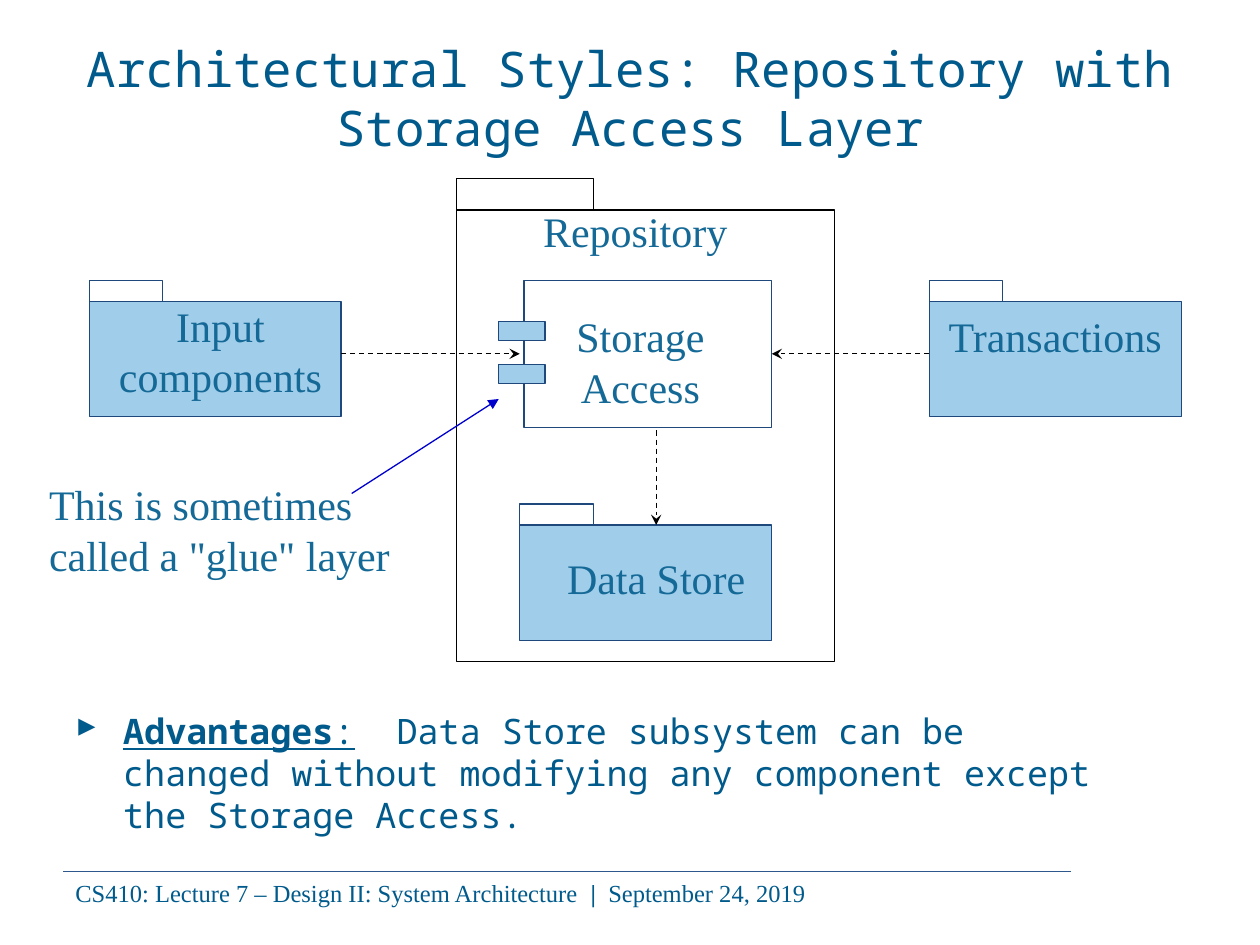
from dataclasses import dataclass

from lxml import etree
from pptx import Presentation
from pptx.dml.color import RGBColor
from pptx.enum.dml import MSO_LINE
from pptx.enum.shapes import MSO_CONNECTOR, MSO_SHAPE
from pptx.enum.text import MSO_ANCHOR, MSO_AUTO_SIZE, PP_ALIGN
from pptx.oxml.ns import qn
from pptx.util import Inches, Pt

STRAIGHT, RECTANGLE = MSO_CONNECTOR.STRAIGHT, MSO_SHAPE.RECTANGLE
LEFT, CENTER = PP_ALIGN.LEFT, PP_ALIGN.CENTER
DASH, MIDDLE, NO_FIT = MSO_LINE.DASH, MSO_ANCHOR.MIDDLE, MSO_AUTO_SIZE.NONE
RIGHT_SIDE = 3

SERIF, MONO = "Times New Roman", "Noto Sans Mono"
COLORS = {
    "heading": "005A8B",
    "label": "156997",
    "package": "A0CEEA",
    "outline": "1F497D",
    "rule": "2D588D",
    "black": "000000",
    "pointer": "0000CC",
}
COLUMNS, ROWS = 120, 90  # grid over the whole slide, 12 cells to the inch


@dataclass(frozen=True)
class Box:
    col: float
    row: float
    cols: float
    rows: float

    def place(self) -> tuple:
        return tuple(cells(n) for n in (self.col, self.row, self.cols, self.rows))


@dataclass(frozen=True)
class Label:
    text: str
    box: Box
    align: PP_ALIGN = CENTER


@dataclass(frozen=True)
class Arrow:
    start: tuple
    end: tuple
    color: str = "black"
    head: str = "stealth"
    dash: MSO_LINE | None = DASH


def cells(count: float) -> int:
    return Inches(count / 12)


def rgb(name: str) -> RGBColor:
    return RGBColor.from_string(COLORS[name])


def style(font, face: str, size: float, color: str) -> None:
    font.name, font.size = face, Pt(size)
    font.color.rgb = rgb(color)


def draw_box(slide, box: Box, fill: str | None = None, line: str = "outline"):
    rect = slide.shapes.add_shape(RECTANGLE, *box.place())
    rect.shadow.inherit = False
    if fill:
        rect.fill.solid()
        rect.fill.fore_color.rgb = rgb(fill)
    else:
        rect.fill.background()
    rect.line.color.rgb = rgb(line)
    rect.line.width = Pt(0.75)
    return rect


def draw_package(slide, col: float, row: float) -> None:
    draw_box(slide, Box(col, row, 7, 3))
    draw_box(slide, Box(col, row + 2, 24, 11), "package")


def add_paragraph_box(slide, box: Box):
    frame = slide.shapes.add_textbox(*box.place()).text_frame
    frame.word_wrap = True
    return frame.paragraphs[0]


def draw_label(slide, label: Label) -> None:
    paragraph = add_paragraph_box(slide, label.box)
    paragraph.text = label.text
    paragraph.alignment = label.align
    style(paragraph.font, SERIF, 24, "label")


def draw_line(slide, start: tuple, end: tuple, color: str, width: float):
    line = slide.shapes.add_connector(STRAIGHT, *map(cells, start + end))
    line.line.color.rgb = rgb(color)
    line.line.width = Pt(width)
    etree.SubElement(line._element.spPr, qn("a:effectLst"))
    return line


def draw_arrow(slide, arrow: Arrow):
    line = draw_line(slide, arrow.start, arrow.end, arrow.color, 0.75)
    if arrow.dash:
        line.line.dash_style = arrow.dash
    etree.SubElement(line.line._get_or_add_ln(), qn("a:tailEnd"), type=arrow.head)
    return line


def add_bullet(paragraph, glyph: str, indent: float) -> None:
    props = paragraph._p.get_or_add_pPr()
    props.set("marL", str(Inches(indent)))
    props.set("indent", str(-Inches(indent)))
    color = etree.SubElement(props, qn("a:buClr"))
    etree.SubElement(color, qn("a:srgbClr"), val=COLORS["heading"])
    etree.SubElement(props, qn("a:buChar"), char=glyph)


def add_run(paragraph, text: str, bold: bool = False, underline: bool = False) -> None:
    run = paragraph.add_run()
    run.text = text
    run.font.bold, run.font.underline = bold, underline


LABELS = [
    Label("Data Store", Box(47.5, 52, 30, 6)),
    Label("Input components", Box(6.5, 28, 29, 10.8)),
    Label("Transactions", Box(84.5, 29, 32, 6)),
    Label("Storage Access", Box(48.5, 29, 25, 10.8)),
    Label("Repository", Box(46.5, 19, 28, 6)),
    Label('This is sometimes called a "glue" layer', Box(3.5, 45, 36, 10.8), LEFT),
]
FLOW_ROW = 33.7
ARROWS = [
    Arrow((32.5, FLOW_ROW), (49.5, FLOW_ROW)),
    Arrow((62.5, 41), (62.5, 50)),
    Arrow((33.5, 47), (47.5, 38), "pointer", "triangle", None),
]


def main() -> None:
    prs = Presentation()
    prs.slide_width, prs.slide_height = cells(COLUMNS), cells(ROWS)
    slide = prs.slides.add_slide(prs.slide_layouts[5])

    # Title
    title = slide.shapes.title
    title.left, title.top, title.width, title.height = Box(6, 3.6, 108, 11.4).place()
    title.text_frame.auto_size = NO_FIT
    title.text_frame.vertical_anchor = MIDDLE
    heading = title.text_frame.paragraphs[0]
    heading.text = "Architectural Styles: Repository with Storage Access Layer"
    heading.alignment = CENTER
    style(heading.font, MONO, 28, "heading")

    # Repository frame and packages
    draw_box(slide, Box(43.5, 17, 13, 3), line="black")
    draw_box(slide, Box(43.5, 20, 36, 43), line="black")
    for col, row in [(8.5, 26.7), (88.5, 26.7), (49.5, 48)]:
        draw_package(slide, col, row)

    # Storage access component with its two ports
    storage = draw_box(slide, Box(49.9, 26.7, 23.6, 14))
    for row in (30.6, 34.7):
        draw_box(slide, Box(47.5, row, 4.4, 1.8), "package")

    # Labels and arrows
    for label in LABELS:
        draw_label(slide, label)
    for arrow in ARROWS:
        draw_arrow(slide, arrow)
    transactions = draw_arrow(slide, Arrow((88.5, FLOW_ROW), (73.5, FLOW_ROW)))
    transactions.end_connect(storage, RIGHT_SIDE)

    # Advantages
    advantages = add_paragraph_box(slide, Box(6, 67, 103, 13.5))
    style(advantages.font, MONO, 20, "heading")
    add_bullet(advantages, "▸", 0.38)
    add_run(advantages, "Advantages", bold=True, underline=True)
    add_run(advantages, ":", underline=True)
    add_run(advantages, "  Data Store subsystem can be changed without modifying "
                        "any component except the Storage Access.")

    # Footer
    draw_line(slide, (6, 83), (102, 83), "rule", 0.5)
    footer = add_paragraph_box(slide, Box(6, 83, 98, 4.1))
    style(footer.font, SERIF, 14, "heading")
    add_run(footer, "CS410: Lecture 7 – Design II: System Architecture  ")
    add_run(footer, "|  ", bold=True)
    add_run(footer, "September 24, 2019")

    prs.save("out.pptx")


if __name__ == "__main__":
    main()
